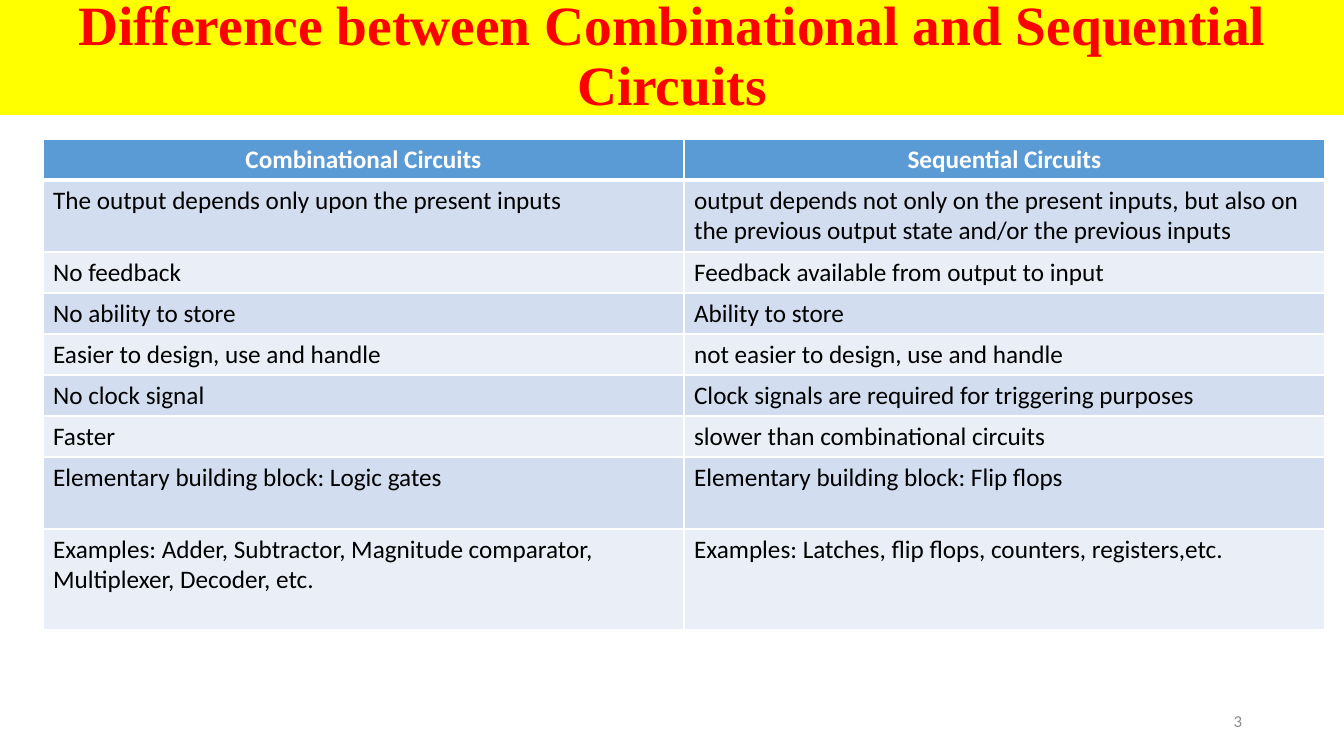
"""Build a slide comparing combinational and sequential circuits."""
from dataclasses import dataclass

from lxml.etree import SubElement
from pptx import Presentation
from pptx.dml.color import RGBColor
from pptx.enum.text import MSO_ANCHOR, MSO_AUTO_SIZE, PP_ALIGN
from pptx.oxml.ns import qn
from pptx.slide import Slide
from pptx.table import _Cell
from pptx.text.text import TextFrame
from pptx.util import Emu, Pt


@dataclass(frozen=True)
class Style:
    font: str
    size: float
    color: str
    bold: bool = False
    align: PP_ALIGN = PP_ALIGN.LEFT


@dataclass(frozen=True)
class Theme:
    title: Style = Style("Times New Roman", 39.6, "FF0000", True, PP_ALIGN.CENTER)
    header: Style = Style("Calibri", 18, "FFFFFF", True, PP_ALIGN.CENTER)
    body: Style = Style("Calibri", 18, "000000")
    number: Style = Style("Calibri", 12, "8C8C8C", align=PP_ALIGN.RIGHT)
    title_fill: str = "FFFF00"
    header_fill: str = "5B9BD5"
    bands: tuple[str, str] = ("EAEFF7", "D2DEEF")
    border: str = "FFFFFF"
    border_width: int = 1
    header_rule: int = 3


@dataclass(frozen=True)
class Row:
    combinational: str
    sequential: str
    height: int = 41


THEME = Theme()
SLIDE_W, SLIDE_H = 1344, 756
TITLE_H = 115
TABLE_X, TABLE_Y, COLUMN_W = 43, 139, 641
ROWS = [
    Row("Combinational Circuits", "Sequential Circuits"),
    Row("The output depends only upon the present inputs",
        "output depends not only on the present inputs, but also on "
        "the previous output state and/or the previous inputs", 72),
    Row("No feedback", "Feedback available from output to input"),
    Row("No ability to store", "Ability to store"),
    Row("Easier to design, use and handle", "not easier to design, use and handle"),
    Row("No clock signal", "Clock signals are required for triggering purposes"),
    Row("Faster", "slower than combinational circuits"),
    Row("Elementary building block: Logic gates",
        "Elementary building block: Flip flops", 72),
    Row("Examples: Adder, Subtractor, Magnitude comparator, Multiplexer, Decoder, etc.",
        "Examples: Latches, flip flops, counters, registers,etc.", 101),
]


def px(n: int) -> Emu:
    """Convert pixels to EMU."""
    return Emu(round(n * 914400 / 100.8))


def write(tf: TextFrame, text: str, style: Style) -> None:
    """Set one formatted paragraph."""
    tf.text = text
    p = tf.paragraphs[0]
    p.alignment = style.align
    font = p.runs[0].font
    font.name, font.size, font.bold = style.font, Pt(style.size), style.bold
    font.color.rgb = RGBColor.from_string(style.color)


def add_borders(cell: _Cell, top: int, bottom: int) -> None:
    """Outline a cell, with its own top and bottom weights."""
    tc_pr = cell._tc.get_or_add_tcPr()
    side = THEME.border_width
    for tag, width in (("a:lnL", side), ("a:lnR", side), ("a:lnT", top), ("a:lnB", bottom)):
        ln = SubElement(tc_pr, qn(tag), w=str(Pt(width)))
        fill = SubElement(ln, qn("a:solidFill"))
        SubElement(fill, qn("a:srgbClr"), val=THEME.border)


def add_title(s: Slide, text: str) -> None:
    """Place the title banner."""
    sp = s.shapes.title
    sp.left, sp.top, sp.width, sp.height = px(0), px(0), px(SLIDE_W), px(TITLE_H)
    sp.fill.solid()
    sp.fill.fore_color.rgb = RGBColor.from_string(THEME.title_fill)
    tf = sp.text_frame
    tf.word_wrap = True
    tf.auto_size = MSO_AUTO_SIZE.NONE
    tf.vertical_anchor = MSO_ANCHOR.MIDDLE
    write(tf, text, THEME.title)
    tf.paragraphs[0].line_spacing = 0.9


def add_comparison(s: Slide, rows: list[Row]) -> None:
    """Draw the banded comparison table."""
    table = s.shapes.add_table(
        len(rows), 2, px(TABLE_X), px(TABLE_Y), px(2 * COLUMN_W),
        px(sum(row.height for row in rows))).table
    for column in table.columns:
        column.width = px(COLUMN_W)
    for i, row in enumerate(rows):
        table.rows[i].height = px(row.height)
        top = THEME.header_rule if i == 1 else THEME.border_width
        bottom = THEME.header_rule if i == 0 else THEME.border_width
        fill = THEME.bands[i % 2] if i else THEME.header_fill
        for j, text in enumerate((row.combinational, row.sequential)):
            cell = table.cell(i, j)
            add_borders(cell, top, bottom)
            cell.fill.solid()
            cell.fill.fore_color.rgb = RGBColor.from_string(fill)
            write(cell.text_frame, text, THEME.body if i else THEME.header)


def add_number(s: Slide, text: str) -> None:
    """Place the page number."""
    tf = s.shapes.add_textbox(px(950), px(701), px(302), px(40)).text_frame
    tf.word_wrap = True
    tf.vertical_anchor = MSO_ANCHOR.MIDDLE
    write(tf, text, THEME.number)


def main() -> None:
    """Assemble and save the slide."""
    prs = Presentation()
    prs.slide_width, prs.slide_height = px(SLIDE_W), px(SLIDE_H)
    s = prs.slides.add_slide(prs.slide_layouts.get_by_name("Title Only"))
    add_title(s, "Difference between Combinational and Sequential Circuits")
    add_comparison(s, ROWS)
    add_number(s, "3")
    prs.save("out.pptx")


if __name__ == "__main__":
    main()
